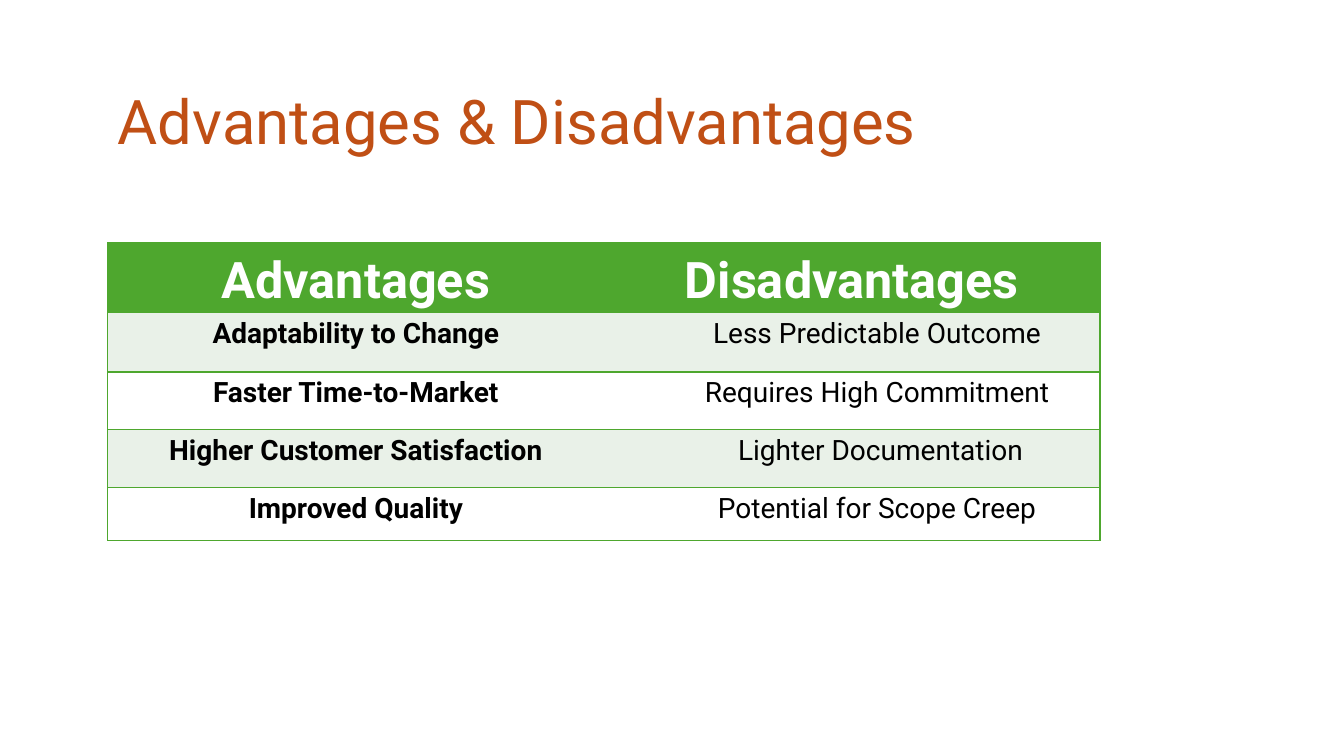
from dataclasses import dataclass

from lxml.etree import SubElement
from pptx import Presentation
from pptx.dml.color import RGBColor
from pptx.enum.text import MSO_ANCHOR, PP_ALIGN
from pptx.oxml.ns import qn
from pptx.slide import Slide
from pptx.table import _Cell
from pptx.text.text import _Paragraph
from pptx.util import Emu, Pt

EMU_PER_PX = 9144  # 100 px to the inch


@dataclass(frozen=True)
class Theme:
    font: str = "Roboto"
    title: str = "C04F15"
    green: str = "4EA72E"
    band: str = "E9F1E8"
    white: str = "FFFFFF"
    black: str = "000000"
    title_pt: int = 44
    header_pt: int = 36
    body_pt: int = 20
    border_pt: int = 1


@dataclass(frozen=True)
class Row:
    advantage: str
    disadvantage: str
    height: int


THEME = Theme()
COLUMN_WIDTH = 492
DISADVANTAGE_INDENT = 50
ROWS = [
    Row("Advantages", "Disadvantages", 68),
    Row("Adaptability to Change", "Less Predictable Outcome", 59),
    Row("Faster Time-to-Market", "Requires High Commitment", 57),
    Row("Higher Customer Satisfaction", " Lighter Documentation", 58),
    Row("Improved Quality", "Potential for Scope Creep", 52),
]


def px(n: int) -> Emu:
    return Emu(n * EMU_PER_PX)


def style_runs(p: _Paragraph, size: int, color: str, bold: bool) -> None:
    for r in p.runs:
        r.font.name = THEME.font
        r.font.size = Pt(size)
        r.font.bold = bold
        r.font.color.rgb = RGBColor.from_string(color)


def set_borders(cell: _Cell, visible: str) -> None:
    """Draw the sides named in visible (letters of LRTB) and clear the rest."""
    tc_pr = cell._tc.get_or_add_tcPr()
    for i, side in enumerate("LRTB"):
        ln = SubElement(tc_pr, qn(f"a:ln{side}"), w=str(Pt(THEME.border_pt)))
        if side in visible:
            fill = SubElement(ln, qn("a:solidFill"))
            SubElement(fill, qn("a:srgbClr"), val=THEME.green)
        else:
            SubElement(ln, qn("a:noFill"))
        tc_pr.insert(i, ln)


def fill_cell(cell: _Cell, text: str, row: int, col: int) -> None:
    header = row == 0
    cell.margin_left = cell.margin_right = px(7)
    cell.margin_top = cell.margin_bottom = 0
    cell.vertical_anchor = MSO_ANCHOR.TOP
    cell.fill.solid()
    background = THEME.green if header else THEME.band if row % 2 else THEME.white
    cell.fill.fore_color.rgb = RGBColor.from_string(background)
    set_borders(cell, "RTB" if col else "LTB")

    p = cell.text_frame.paragraphs[0]
    p.text = text
    p.alignment = PP_ALIGN.CENTER
    p.line_spacing = 1.15
    p.space_after = Pt(8)
    if col and not header:
        p_pr = p._p.get_or_add_pPr()
        p_pr.set("marL", str(px(DISADVANTAGE_INDENT)))
        p_pr.set("indent", "0")
    style_runs(
        p,
        THEME.header_pt if header else THEME.body_pt,
        THEME.white if header else THEME.black,
        header or col == 0,
    )


def add_title(s: Slide, text: str) -> None:
    tf = s.shapes.add_textbox(px(107), px(51), px(1150), px(145)).text_frame
    tf.word_wrap = True
    tf.vertical_anchor = MSO_ANCHOR.MIDDLE
    p = tf.paragraphs[0]
    p.text = text
    p.line_spacing = 0.9
    style_runs(p, THEME.title_pt, THEME.title, False)


def add_comparison(s: Slide, rows: list[Row]) -> None:
    height = sum(row.height for row in rows)
    table = s.shapes.add_table(
        len(rows), 2, px(107), px(241), px(2 * COLUMN_WIDTH), px(height)
    ).table
    for column in table.columns:
        column.width = px(COLUMN_WIDTH)
    for i, row in enumerate(rows):
        table.rows[i].height = px(row.height)
        for j, text in enumerate((row.advantage, row.disadvantage)):
            fill_cell(table.cell(i, j), text, i, j)


def main() -> None:
    prs = Presentation()
    prs.slide_width, prs.slide_height = px(1333), px(750)
    s = prs.slides.add_slide(prs.slide_layouts[6])
    add_title(s, "Advantages & Disadvantages")
    add_comparison(s, ROWS)
    prs.save("out.pptx")


if __name__ == "__main__":
    main()
